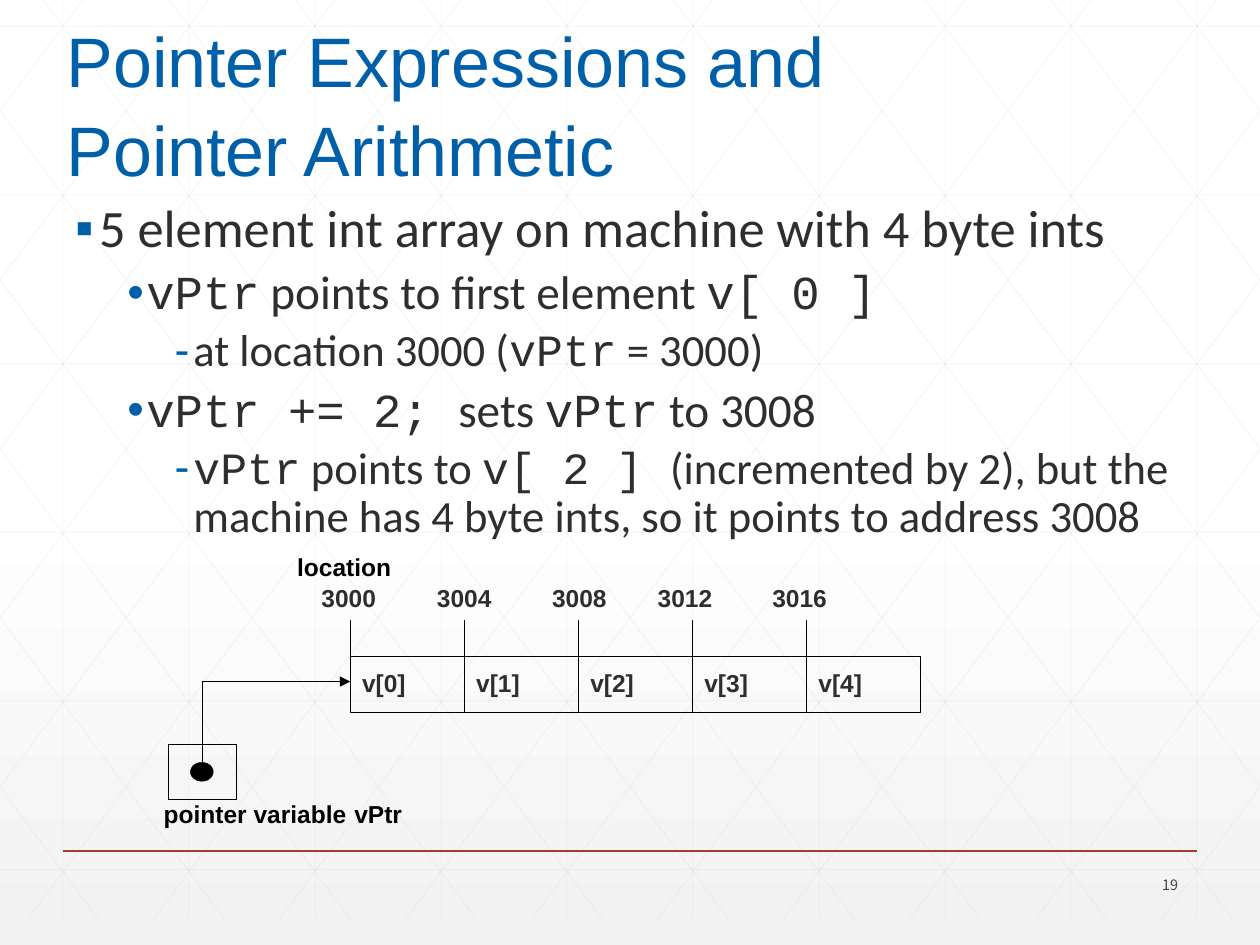
from lxml import etree
from pptx import Presentation
from pptx.dml.color import RGBColor
from pptx.enum.shapes import MSO_CONNECTOR, MSO_SHAPE
from pptx.enum.text import MSO_ANCHOR, MSO_AUTO_SIZE, PP_ALIGN
from pptx.oxml.ns import qn
from pptx.util import Cm, Pt

STRAIGHT = MSO_CONNECTOR.STRAIGHT
RECT, OVAL = MSO_SHAPE.RECTANGLE, MSO_SHAPE.OVAL
TOP, MIDDLE = MSO_ANCHOR.TOP, MSO_ANCHOR.MIDDLE
LEFT, RIGHT = PP_ALIGN.LEFT, PP_ALIGN.RIGHT
BLUE = RGBColor(0x00, 0x5F, 0xA9)
INK = RGBColor(0x2D, 0x2E, 0x2D)
GREY = RGBColor(0x42, 0x43, 0x42)
BLACK = RGBColor(0x00, 0x00, 0x00)
WHITE = RGBColor(0xFF, 0xFF, 0xFF)
PALE = RGBColor(0xF2, 0xF2, 0xF2)
GRID = RGBColor(0xD9, 0xD9, 0xD9)
RUST = RGBColor(0xA4, 0x3F, 0x27)
TEXT, CODE = "Calibri", "Courier New"

TITLE = ["Pointer Expressions and", "Pointer Arithmetic"]
# level, [(text, font), ...]
BODY = [
    (0, [("5 element int array on machine with 4 byte ints", TEXT)]),
    (2, [("vPtr", CODE), (" points to first element ", TEXT), ("v[ 0 ]", CODE)]),
    (4, [("at location 3000 (", TEXT), ("vPtr", CODE), (" = 3000)", TEXT)]),
    (2, [("vPtr += 2; ", CODE), ("sets ", TEXT), ("vPtr", CODE), (" to 3008", TEXT)]),
    (4, [("vPtr", CODE), (" points to ", TEXT), ("v[ 2 ] ", CODE),
         ("(incremented by 2), but the machine has 4 byte ints, "
          "so it points to address 3008", TEXT)]),
]
# level: size, left margin, hanging indent (cm), space before, bullet
LEVELS = {0: (30, 0.48, 0.48, 13.5, "▪"),
          2: (27, 1.43, 0.38, 6, "•"),
          4: (25.5, 2.38, 0.38, 4.5, "‐")}
# array element, address, left of the address label (cm)
CELLS = [("v[0]", "3000", 6.48), ("v[1]", "3004", 8.81), ("v[2]", "3008", 11.13),
         ("v[3]", "3012", 13.26), ("v[4]", "3016", 15.57)]

SLIDE_W, SLIDE_H = 25.4, 19.05
GRID_TOP, GRID_STEP, ROW_STEP, DIAGONAL_RUN = -0.53, 2.54, 3.4, 14.2
ARRAY_X, ARRAY_Y, CELL_W, CELL_H, TICK_TOP = 7.06, 13.23, 2.3, 1.12, 12.5
POINTER_X, ARROW_Y, DOT_Y = 4.07, 13.74, 15.56


def set_attrs(obj, values):
    for name, value in values.items():
        setattr(obj, name, value)


def add_run(p, text, size, color, font="Arial", bold=False):
    r = p.add_run()
    r.text = text
    set_attrs(r.font, {"size": Pt(size), "name": font, "bold": bold})
    r.font.color.rgb = color


def set_frame(tf, margins=(0, 0, 0, 0), wrap=True, anchor=TOP):
    left, top, right, bottom = map(Cm, margins)
    set_attrs(tf, {"margin_left": left, "margin_top": top, "margin_right": right,
                   "margin_bottom": bottom, "word_wrap": wrap,
                   "vertical_anchor": anchor, "auto_size": MSO_AUTO_SIZE.NONE})


def add_label(shapes, box, runs, align=LEFT, anchor=TOP):
    tf = shapes.add_textbox(*map(Cm, box)).text_frame
    set_frame(tf, anchor=anchor)
    tf.paragraphs[0].alignment = align
    for run in runs:
        add_run(tf.paragraphs[0], *run)


def add_line(shapes, ends, color, width, opacity=None):
    line = shapes.add_connector(STRAIGHT, *map(Cm, ends))
    line.line.color.rgb = color
    line.line.width = Pt(width)
    etree.SubElement(line.element.spPr, qn("a:effectLst"))
    if opacity:
        clr = line.element.spPr.find(".//" + qn("a:srgbClr"))
        etree.SubElement(clr, qn("a:alpha"), val=str(opacity * 1000))


def outline(sp, fill=None):
    sp.shadow.inherit = False
    sp.line.color.rgb = BLACK
    sp.line.width = Pt(0.25)
    if fill is None:
        sp.fill.background()
    else:
        sp.fill.solid()
        sp.fill.fore_color.rgb = fill


def grid_lines():
    """Ends of the vertical, horizontal and mirrored diagonal grid lines."""
    bottom = GRID_TOP + SLIDE_H
    slope = SLIDE_H / DIAGONAL_RUN
    lines = []
    for i in range(10):
        x = GRID_STEP * (i + 0.5)
        lines.append((x, GRID_TOP, x, bottom))
    for i in range(6):
        y = 0.53 + ROW_STEP * i
        lines.append((0, y, SLIDE_W, y))
    for i in range(-5, 10):
        start = 0.48 + GRID_STEP * i
        x1, x2 = max(start, 0), min(start + DIAGONAL_RUN, SLIDE_W)
        y1, y2 = (GRID_TOP + (x - start) * slope for x in (x1, x2))
        lines += [(x1, y1, x2, y2), (SLIDE_W - x1, y1, SLIDE_W - x2, y2)]
    return lines


def fill_title(sp):
    set_attrs(sp, dict(zip(("left", "top", "width", "height"),
                           map(Cm, (1.09, 0.13, 15.95, 3.81)))))
    tf = sp.text_frame
    set_frame(tf, (0.25, 0.13, 0.25, 0.13), wrap=False)
    for i, text in enumerate(TITLE):
        p = tf.add_paragraph() if i else tf.paragraphs[0]
        set_attrs(p, {"alignment": LEFT, "line_spacing": 1.06, "space_before": Pt(0)})
        add_run(p, text, 40, BLUE)


def fill_body(sp):
    set_attrs(sp, dict(zip(("left", "top", "width", "height"),
                           map(Cm, (1.27, 3.94, 22.63, 14)))))
    tf = sp.text_frame
    set_frame(tf, (0.25, 0.13, 0.25, 0.13))
    for i, (level, runs) in enumerate(BODY):
        size, margin, hanging, before, bullet = LEVELS[level]
        p = tf.add_paragraph() if i else tf.paragraphs[0]
        set_attrs(p, {"level": level, "alignment": LEFT, "line_spacing": 0.9,
                      "space_before": Pt(before if i else 0)})
        pPr = p._p.get_or_add_pPr()
        pPr.set("marL", str(Cm(margin)))
        pPr.set("indent", str(-Cm(hanging)))
        clr = etree.SubElement(pPr, qn("a:buClr"))
        etree.SubElement(clr, qn("a:srgbClr"), val=str(BLUE))
        etree.SubElement(pPr, qn("a:buFont"), typeface="Arial")
        etree.SubElement(pPr, qn("a:buChar"), char=bullet)
        for text, font in runs:
            add_run(p, text, size, INK, font)


def add_diagram(shapes):
    add_label(shapes, (3.3, 16.03, 8.05, 0.81),
              [("pointer variable", 14, BLACK, "Arial", True),
               (" ", 16, BLACK, "Arial", True), ("vPtr", 14, BLACK, "Arial", True)])
    for kind, w, h, fill in ((RECT, 1.37, CELL_H, None), (OVAL, 0.46, 0.38, BLACK)):
        box = (POINTER_X - w / 2, DOT_Y - h / 2, w, h)
        outline(shapes.add_shape(kind, *map(Cm, box)), fill)

    for i, (element, address, label_x) in enumerate(CELLS):
        x = ARRAY_X + CELL_W * i
        cell = shapes.add_shape(RECT, *map(Cm, (x, ARRAY_Y, CELL_W, CELL_H)))
        outline(cell)
        set_frame(cell.text_frame, (0.24, 0.23, 0, 0))
        p = cell.text_frame.paragraphs[0]
        p.alignment = LEFT
        add_run(p, element, 14, INK, bold=True)
        add_line(shapes, (x, TICK_TOP, x, ARRAY_Y), BLACK, 0.25)
        add_label(shapes, (label_x, 11.76, 1.8, 0.81),
                  [(address, 14, INK, "Arial", True)])
    add_label(shapes, (5.99, 11.13, 3.1, 0.76), [("location", 14, BLACK, "Arial", True)])

    builder = shapes.build_freeform(Cm(POINTER_X), Cm(DOT_Y))
    builder.add_line_segments([(Cm(POINTER_X), Cm(ARROW_Y)),
                               (Cm(ARRAY_X), Cm(ARROW_Y))], close=False)
    arrow = builder.convert_to_shape()
    outline(arrow)
    etree.SubElement(arrow.line._get_or_add_ln(), qn("a:tailEnd"), type="triangle")


def main():
    prs = Presentation()
    prs.slide_width, prs.slide_height = Cm(SLIDE_W), Cm(SLIDE_H)
    s = prs.slides.add_slide(prs.slide_layouts[1])
    fill = s.background.fill
    fill.gradient()
    fill.gradient_angle = 270
    for stop, position, color in zip(fill.gradient_stops, (0.53, 1), (WHITE, PALE)):
        stop.position = position
        stop.color.rgb = color

    title, body = s.placeholders
    grid = s.shapes.add_group_shape()
    title.element.addprevious(grid.element)
    for ends in grid_lines():
        add_line(grid.shapes, ends, GRID, 0.5, opacity=25)
    fill_title(title)
    fill_body(body)
    add_line(s.shapes, (1.27, 17.15, 24.13, 17.15), RUST, 1)
    add_label(s.shapes, (22.1, 17.53, 1.65, 0.61),
              [("19", 8.2, GREY, "Noto Sans CJK TC")], RIGHT, MIDDLE)
    add_diagram(s.shapes.add_group_shape().shapes)
    prs.save("out.pptx")


if __name__ == "__main__":
    main()
